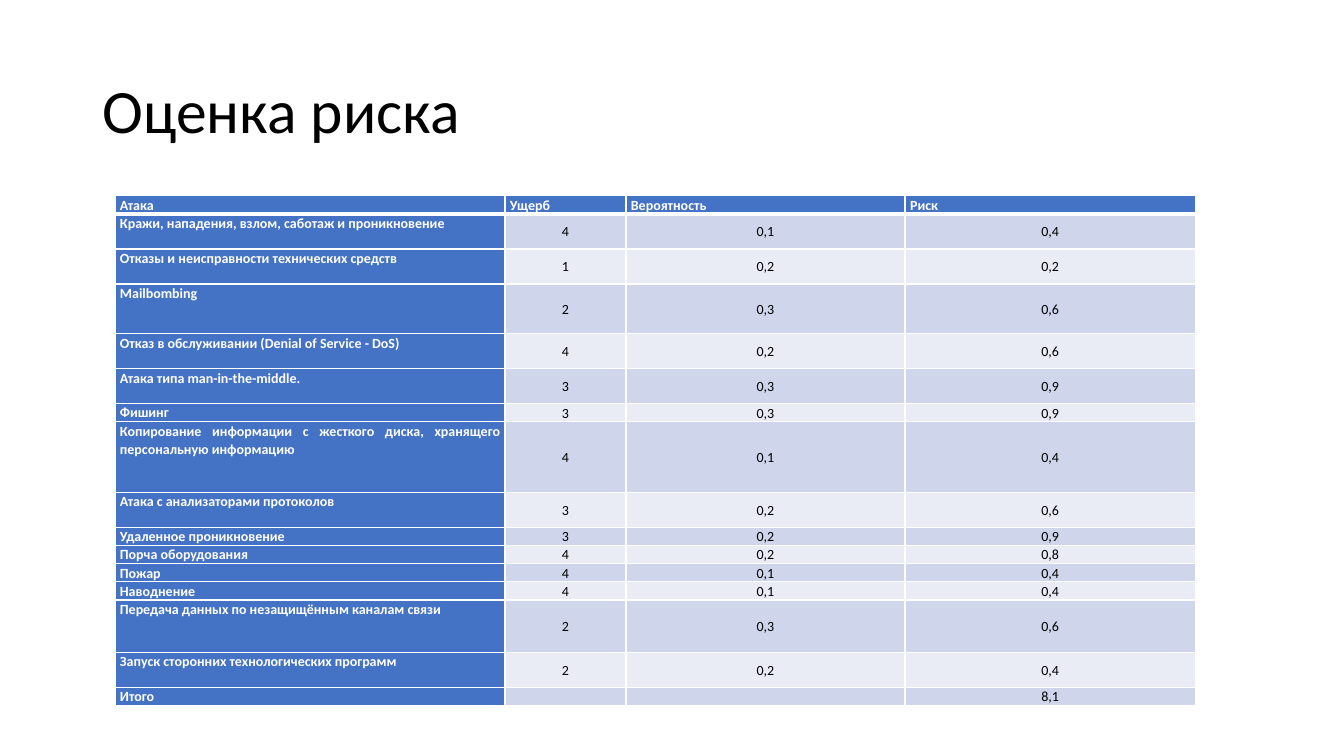
from dataclasses import dataclass

from lxml import etree
from pptx import Presentation
from pptx.dml.color import RGBColor
from pptx.enum.text import MSO_ANCHOR, PP_ALIGN
from pptx.oxml.ns import qn
from pptx.slide import Slide
from pptx.table import Table, _Cell
from pptx.util import Pt

LEFT, CENTER, JUSTIFY = PP_ALIGN.LEFT, PP_ALIGN.CENTER, PP_ALIGN.JUSTIFY
TOP, MIDDLE = MSO_ANCHOR.TOP, MSO_ANCHOR.MIDDLE


@dataclass(frozen=True)
class Theme:
    font: str = "Calibri"
    title: float = 44
    body: float = 10
    black: str = "000000"
    white: str = "FFFFFF"
    blue: str = "4472C4"
    bands: tuple[str, str] = ("CFD5EA", "E9EBF5")
    thin: float = 1
    thick: float = 3


@dataclass(frozen=True)
class Risk:
    attack: str
    harm: str
    chance: str
    risk: str
    height: float
    align: PP_ALIGN = JUSTIFY


@dataclass(frozen=True)
class Look:
    fill: str
    color: str
    bold: bool
    align: PP_ALIGN
    anchor: MSO_ANCHOR
    after: float


THEME = Theme()
SHORT, TALL = 13, 25
WIDTHS = (278.6, 86.4, 199.4, 207.4)
RISKS = (
    Risk("Атака", "Ущерб", "Вероятность", "Риск", SHORT),
    Risk("Кражи, нападения, взлом, саботаж и проникновение", "4", "0,1", "0,4", TALL, LEFT),
    Risk("Отказы и неисправности технических средств", "1", "0,2", "0,2", TALL),
    Risk("Mailbombing", "2", "0,3", "0,6", 35.5),
    Risk("Отказ в обслуживании (Denial of Service - DoS)", "4", "0,2", "0,6", TALL),
    Risk("Атака типа man-in-the-middle.", "3", "0,3", "0,9", TALL),
    Risk("Фишинг", "3", "0,3", "0,9", SHORT),
    Risk("Копирование информации с жесткого диска, хранящего персональную информацию",
         "4", "0,1", "0,4", 50.4),
    Risk("Атака с анализаторами протоколов", "3", "0,2", "0,6", TALL),
    Risk("Удаленное проникновение", "3", "0,2", "0,9", SHORT),
    Risk("Порча оборудования", "4", "0,2", "0,8", SHORT),
    Risk("Пожар", "4", "0,1", "0,4", SHORT),
    Risk("Наводнение", "4", "0,1", "0,4", SHORT),
    Risk("Передача данных по незащищённым каналам связи", "2", "0,3", "0,6", 37.4),
    Risk("Запуск сторонних технологических программ", "2", "0,2", "0,4", TALL),
    Risk("Итого", "", "", "8,1", SHORT),
)


def add_run(para, text: str, size: float, color: str, bold: bool = False) -> None:
    run = para.add_run()
    run.text = text
    run.font.name = THEME.font
    run.font.size = Pt(size)
    run.font.bold = bold
    run.font.color.rgb = RGBColor.from_string(color)


def add_title(slide: Slide, text: str) -> None:
    title = slide.shapes.title
    title.left, title.top = Pt(66), Pt(28.8)
    title.width, title.height = Pt(828), Pt(104.4)
    frame = title.text_frame
    frame.word_wrap = True
    frame.vertical_anchor = MIDDLE
    para = frame.paragraphs[0]
    para.alignment = LEFT
    para.line_spacing = 0.9
    add_run(para, text, THEME.title, THEME.black)


def set_edges(cell: _Cell, row: int) -> None:
    """Draw white borders, with a thick rule below the header."""
    props = cell._tc.get_or_add_tcPr()
    thick = {0: "lnB", 1: "lnT"}.get(row)
    for index, side in enumerate(("lnL", "lnR", "lnT", "lnB")):
        width = THEME.thick if side == thick else THEME.thin
        line = etree.Element(qn(f"a:{side}"), w=str(Pt(width)))
        fill = etree.SubElement(line, qn("a:solidFill"))
        etree.SubElement(fill, qn("a:srgbClr"), val=THEME.white)
        props.insert(index, line)


def get_look(row: int, col: int, align: PP_ALIGN) -> Look:
    if row == 0 or col == 0:
        return Look(THEME.blue, THEME.white, True, align, TOP, 8 if row else 5)
    return Look(THEME.bands[(row - 1) % 2], THEME.black, False, CENTER, MIDDLE, 8)


def fill_cell(cell: _Cell, text: str, look: Look) -> None:
    cell.margin_left = cell.margin_right = Pt(3.6)
    cell.margin_top = cell.margin_bottom = Pt(0)
    cell.vertical_anchor = look.anchor
    cell.fill.solid()
    cell.fill.fore_color.rgb = RGBColor.from_string(look.fill)
    para = cell.text_frame.paragraphs[0]
    para.alignment = look.align
    para.line_spacing = 1.07
    para.space_after = Pt(look.after)
    if text:
        add_run(para, text, THEME.body, look.color, look.bold)
    else:
        size = str(round(THEME.body * 100))
        etree.SubElement(para._p, qn("a:endParaRPr"), sz=size)


def fill_row(table: Table, row: int, item: Risk) -> None:
    table.rows[row].height = Pt(item.height)
    texts = (item.attack, item.harm, item.chance, item.risk)
    for col, text in enumerate(texts):
        cell = table.cell(row, col)
        fill_cell(cell, text, get_look(row, col, item.align))
        set_edges(cell, row)


def add_risks(slide: Slide) -> None:
    height = sum(item.height for item in RISKS)
    frame = slide.shapes.add_table(len(RISKS), len(WIDTHS), Pt(82.1), Pt(139.9),
                                   Pt(sum(WIDTHS)), Pt(height))
    table = frame.table
    table.first_col = True
    table.horz_banding = False
    for column, width in zip(table.columns, WIDTHS):
        column.width = Pt(width)
    for row, item in enumerate(RISKS):
        fill_row(table, row, item)


def main() -> None:
    deck = Presentation()
    deck.slide_width, deck.slide_height = Pt(960), Pt(540)
    slide = deck.slides.add_slide(deck.slide_layouts[5])
    add_title(slide, "Оценка риска")
    add_risks(slide)
    deck.save("out.pptx")


if __name__ == "__main__":
    main()
